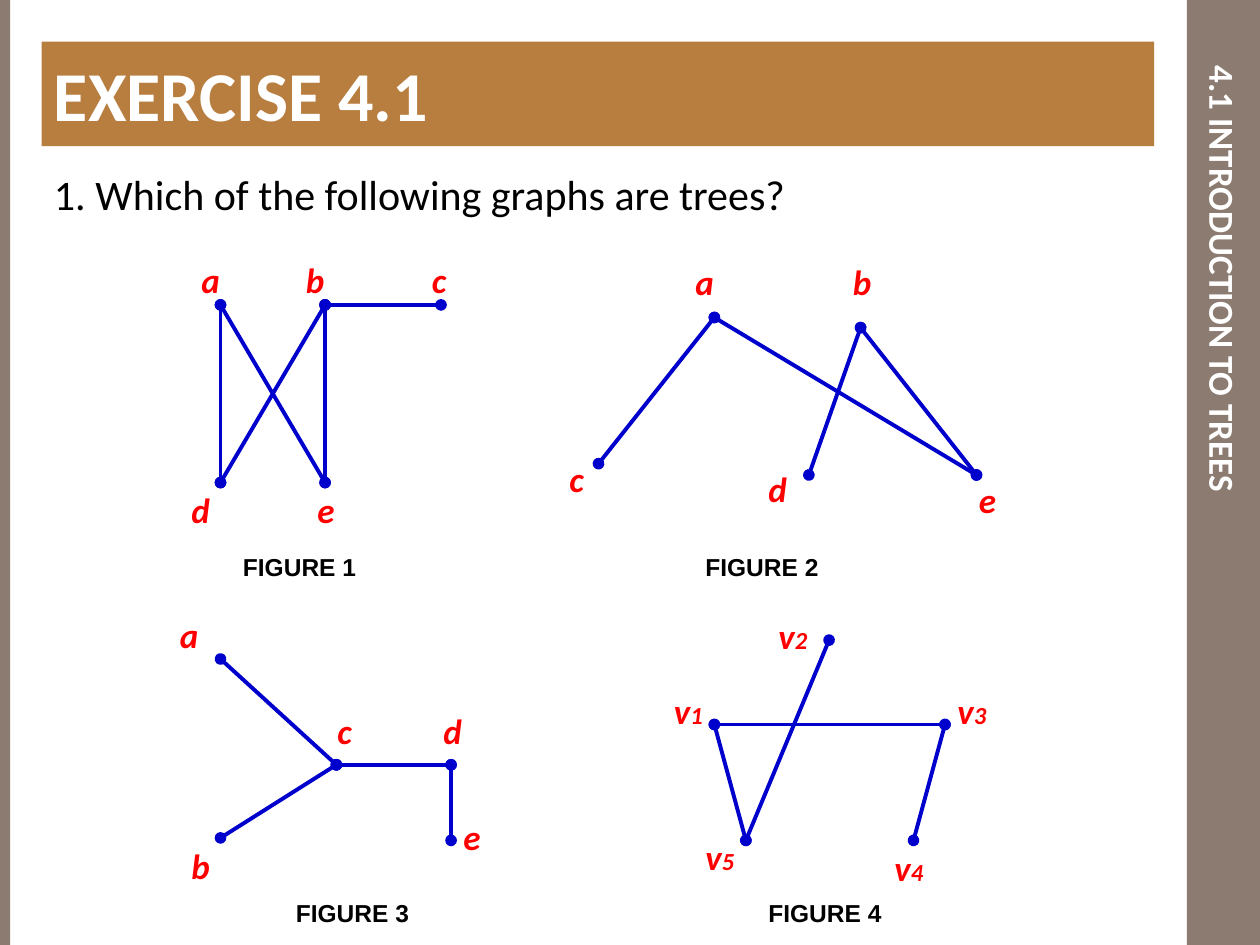
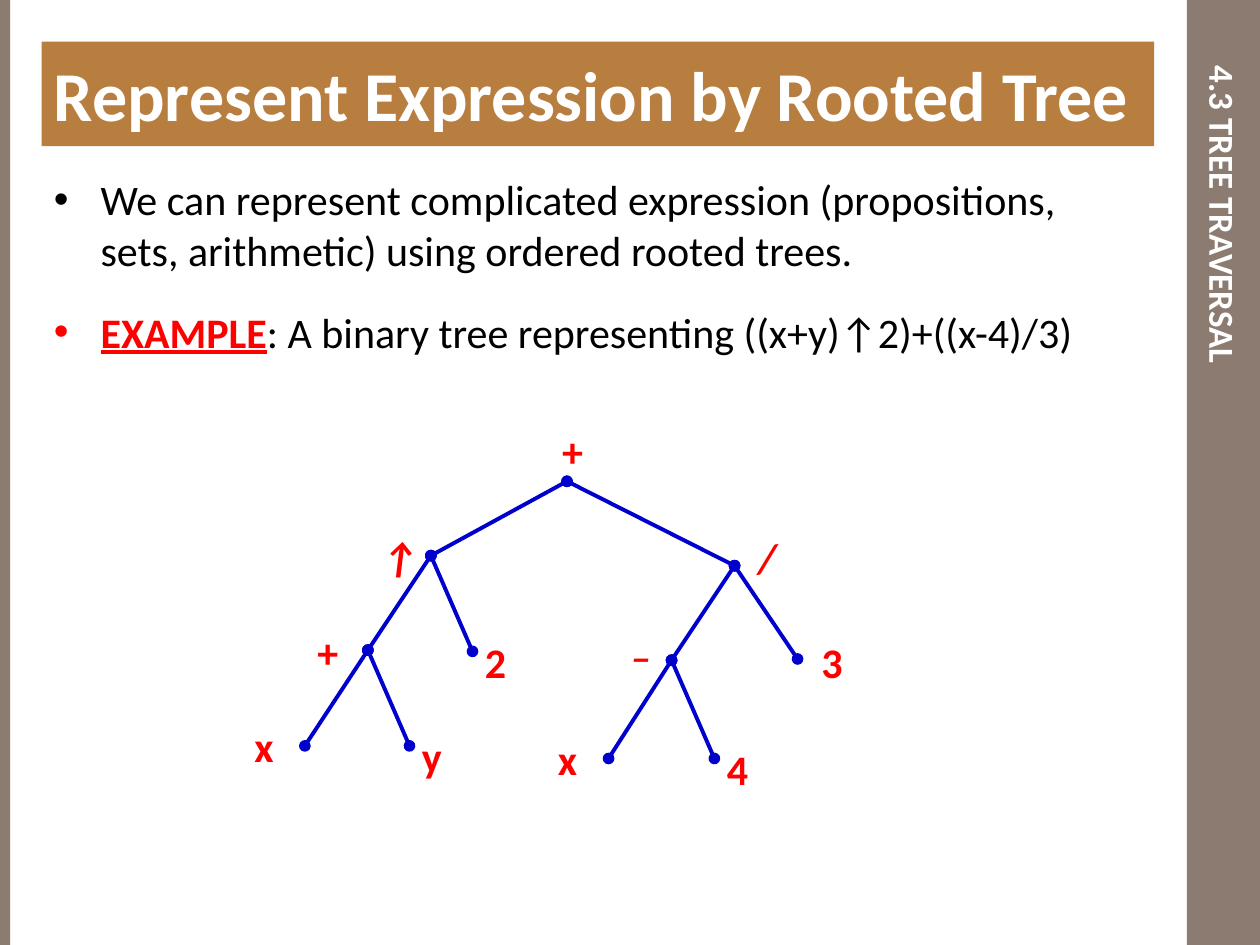
from lxml.etree import SubElement
from pptx import Presentation
from pptx.dml.color import RGBColor
from pptx.enum.shapes import MSO_CONNECTOR, MSO_SHAPE
from pptx.enum.text import MSO_ANCHOR, PP_ALIGN
from pptx.oxml.ns import qn
from pptx.util import Inches, Pt

WHITE = RGBColor(0xFF, 0xFF, 0xFF)
BLACK = RGBColor(0x00, 0x00, 0x00)
TAUPE = RGBColor(0x8C, 0x7B, 0x70)
OCHRE = RGBColor(0xB8, 0x7E, 0x3F)
BLUE = RGBColor(0x00, 0x00, 0xCC)
RED = RGBColor(0xFF, 0x00, 0x00)

# Graphs: key -> (label, vertex x, vertex y, label left, label top, label width)
FIGURES = [
    {
        "caption": ("FIGURE 1", 1.83, 4.33),
        "vertices": {
            "a": ("a", 1.75, 2.42, 1.5, 2, 0.33),
            "b": ("b", 2.58, 2.42, 2.33, 2, 0.33),
            "c": ("c", 3.5, 2.42, 3.33, 2, 0.33),
            "d": ("d", 1.75, 3.83, 1.42, 3.83, 0.33),
            "e": ("e", 2.58, 3.83, 2.42, 3.83, 0.33),
        },
        "edges": ["a e", "a d", "b e", "b c", "b d"],
    },
    {
        "caption": ("FIGURE 2", 5.5, 4.33),
        "vertices": {
            "a": ("a", 5.67, 2.52, 5.42, 2.02, 0.58),
            "b": ("b", 6.83, 2.6, 6.67, 2.02, 0.58),
            "c": ("c", 4.75, 3.68, 4.42, 3.58, 0.58),
            "d": ("d", 6.42, 3.77, 6, 3.66, 0.58),
            "e": ("e", 7.75, 3.77, 7.67, 3.75, 0.58),
        },
        "edges": ["a e", "b e", "b d", "a c"],
    },
    {
        "caption": ("FIGURE 3", 2.25, 7.08),
        "vertices": {
            "a": ("a", 1.75, 5.23, 1.33, 4.82, 0.33),
            "b": ("b", 1.75, 6.65, 1.42, 6.65, 0.33),
            "c": ("c", 2.67, 6.07, 2.58, 5.58, 0.33),
            "d": ("d", 3.58, 6.07, 3.42, 5.58, 0.33),
            "e": ("e", 3.58, 6.67, 3.58, 6.42, 0.33),
        },
        "edges": ["a c", "b c", "c d", "d e"],
    },
    {
        "caption": ("FIGURE 4", 6, 7.08),
        "vertices": {
            "v1": ("v1", 5.67, 5.75, 5.25, 5.42, 0.5),
            "v2": ("v2", 6.58, 5.08, 6.08, 4.83, 0.75),
            "v3": ("v3", 7.5, 5.75, 7.5, 5.42, 0.58),
            "v4": ("v4", 7.25, 6.67, 7, 6.67, 0.67),
            "v5": ("v5", 5.92, 6.67, 5.5, 6.58, 0.58),
        },
        "edges": ["v1 v3", "v3 v4", "v1 v5", "v2 v5"],
    },
]

EXPRESSION_TREE = {
    "vertices": {
        "root": ("+", 4.5, 3.82, 3.67, 3.33, 1.75),
        "power": ("↑", 3.42, 4.41, 2.92, 4.17, 0.58),
        "quotient": ("/", 5.83, 4.49, 5.92, 4.17, 1.25),
        "sum": ("+", 2.92, 5.16, 2.42, 4.92, 0.42),
        "two": ("2", 3.75, 5.17, 3.75, 5, 0.33),
        "difference": ("_", 5.33, 5.24, 4.92, 4.83, 0.5),
        "three": ("3", 6.33, 5.23, 6.42, 5, 1.17),
        "left x": ("x", 2.42, 5.92, 1.92, 5.67, 0.42),
        "y": ("y", 3.25, 5.92, 3.25, 5.75, 0.33),
        "right x": ("x", 4.83, 6.02, 4.33, 5.77, 0.42),
        "four": ("4", 5.67, 6.02, 5.67, 5.85, 0.33),
    },
    "edges": [
        ("root", "power"), ("root", "quotient"),
        ("power", "sum"), ("power", "two"),
        ("quotient", "difference"), ("quotient", "three"),
        ("sum", "left x"), ("sum", "y"),
        ("difference", "right x"), ("difference", "four"),
    ],
}
ITALIC_OPERATORS = "↑/_"

QUESTION = "Which of the following graphs are trees?"
STATEMENT = ("We can represent complicated expression (propositions, sets, "
             "arithmetic) using ordered rooted trees.")
EXAMPLE = ("EXAMPLE", ": A binary tree representing ((x+y)↑2)+((x-4)/3)")


def style(run, size, color, bold=False, italic=False, name="Calibri"):
    font = run.font
    font.name, font.size, font.bold, font.italic = name, Pt(size), bold, italic
    font.color.rgb = color


def add_rectangle(slide, left, top, width, height, color):
    shape = slide.shapes.add_shape(MSO_SHAPE.RECTANGLE, Inches(left), Inches(top),
                                   Inches(width), Inches(height))
    shape.shadow.inherit = False
    shape.fill.solid()
    shape.fill.fore_color.rgb = color
    shape.line.fill.background()
    return shape


def add_text(slide, text, left, top, width, height):
    box = slide.shapes.add_textbox(Inches(left), Inches(top), Inches(width), Inches(height))
    box.text_frame.word_wrap = True
    box.text_frame.text = text
    return box


def add_bullet(paragraph, indent, color, tag, **attributes):
    properties = paragraph._p.get_or_add_pPr()
    properties.set("marL", str(Inches(indent)))
    properties.set("indent", str(-Inches(indent)))
    bullet_color = SubElement(properties, qn("a:buClr"))
    SubElement(bullet_color, qn("a:srgbClr"), val=str(color))
    SubElement(properties, qn("a:buFont"), typeface="Arial" if tag == "a:buChar" else "Calibri")
    SubElement(properties, qn(tag), **attributes)


def add_frame(presentation, title, section):
    """Blank slide with side bands, title bar and vertical section name."""
    slide = presentation.slides.add_slide(presentation.slide_layouts[6])
    add_rectangle(slide, 9.42, 0, 0.58, 7.5, TAUPE)
    add_rectangle(slide, 0, 0, 0.08, 7.5, TAUPE)

    box = add_text(slide, section, 9.42, 0.42, 0.58, 6.42)
    frame = box.text_frame
    frame.margin_left = frame.margin_right = Inches(0.05)
    frame.margin_top = frame.margin_bottom = Inches(0.1)
    frame.vertical_anchor = MSO_ANCHOR.MIDDLE
    frame._txBody.bodyPr.set("vert", "eaVert")
    frame.paragraphs[0].alignment = PP_ALIGN.CENTER
    style(frame.paragraphs[0].runs[0], 20, WHITE, bold=True)

    bar = add_rectangle(slide, 0.33, 0.33, 8.83, 0.83, OCHRE)
    bar.text_frame.text = title
    paragraph = bar.text_frame.paragraphs[0]
    paragraph.alignment = PP_ALIGN.LEFT
    style(paragraph.runs[0], 40, WHITE, bold=True)
    return slide


def add_edge(slide, start, end):
    edge = slide.shapes.add_connector(MSO_CONNECTOR.STRAIGHT, *map(Inches, start + end))
    edge.line.color.rgb = BLUE
    edge.line.width = Pt(2.25)
    line = edge.line._get_or_add_ln()
    for tag in ("a:headEnd", "a:tailEnd"):
        SubElement(line, qn(tag), type="oval")
    SubElement(edge._element.spPr, qn("a:effectLst"))


def add_graph(slide, vertices, edges, size, italic_labels, label_height):
    for start, end in edges:
        add_edge(slide, vertices[start][1:3], vertices[end][1:3])
    for key, (label, _, _, left, top, width) in vertices.items():
        box = add_text(slide, label[0], left, top, width, label_height)
        paragraph = box.text_frame.paragraphs[0]
        if key == "root":
            paragraph.alignment = PP_ALIGN.CENTER
        if label[1:]:
            paragraph.add_run().text = label[1:]
        for run, run_size in zip(paragraph.runs, (size, 14)):
            style(run, run_size, RED, bold=True, italic=label[0] in italic_labels)


def build_exercise(presentation):
    slide = add_frame(presentation, "EXERCISE 4.1", "4.1 INTRODUCTION TO TREES")
    body = add_text(slide, QUESTION, 0.33, 1.33, 8.83, 0.5)
    paragraph = body.text_frame.paragraphs[0]
    paragraph.line_spacing = 0.9
    add_bullet(paragraph, 0.33, BLACK, "a:buAutoNum", type="arabicPeriod")
    style(paragraph.runs[0], 24, BLACK)

    for figure in FIGURES:
        edges = [edge.split() for edge in figure["edges"]]
        add_graph(slide, figure["vertices"], edges, 20, "abcdev", 0.44)
        caption = add_text(slide, *figure["caption"], 1.33, 0.34)
        style(caption.text_frame.paragraphs[0].runs[0], 14, BLACK, bold=True, name="Arial")


def build_expression(presentation):
    slide = add_frame(presentation, "Represent Expression by Rooted Tree",
                      "4.3 TREE TRAVERSAL")
    frame = add_text(slide, STATEMENT, 0.33, 1.33, 8.83, 1.75).text_frame
    statement, example = frame.paragraphs[0], frame.add_paragraph()
    example.space_before = Pt(18)
    for text in EXAMPLE:
        example.add_run().text = text
    for paragraph, color in ((statement, BLACK), (example, RED)):
        add_bullet(paragraph, 0.37, color, "a:buChar", char="•")
        for run in paragraph.runs:
            style(run, 24, BLACK)
    keyword = example.runs[0]
    style(keyword, 24, RED, bold=True)
    keyword.font.underline = True

    add_graph(slide, **EXPRESSION_TREE, size=24, italic_labels=ITALIC_OPERATORS,
              label_height=0.5)


def main():
    presentation = Presentation()
    presentation.slide_width, presentation.slide_height = Inches(10), Inches(7.5)
    build_exercise(presentation)
    build_expression(presentation)
    presentation.save("out.pptx")


if __name__ == "__main__":
    main()
